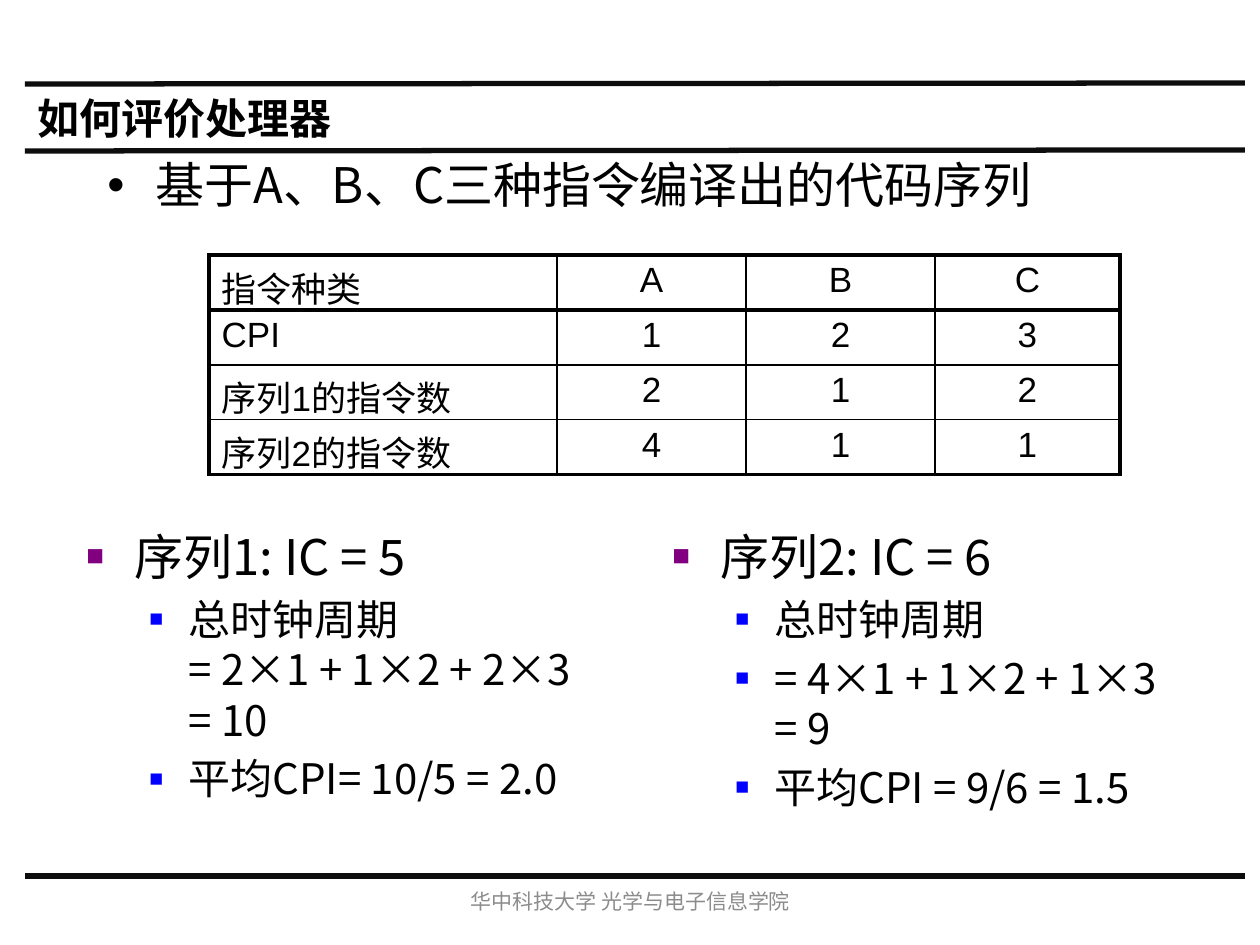
from lxml import etree
from pptx import Presentation
from pptx.dml.color import RGBColor
from pptx.enum.shapes import MSO_CONNECTOR
from pptx.enum.text import MSO_ANCHOR, PP_ALIGN
from pptx.oxml.ns import qn
from pptx.util import Emu, Pt

STRAIGHT = MSO_CONNECTOR.STRAIGHT
TOP, MIDDLE = MSO_ANCHOR.TOP, MSO_ANCHOR.MIDDLE
LEFT, CENTER = PP_ALIGN.LEFT, PP_ALIGN.CENTER

BLACK = RGBColor(0x00, 0x00, 0x00)
RULE = RGBColor(0x0D, 0x0D, 0x0D)
GRAY = RGBColor(0x8C, 0x8C, 0x8C)
PURPLE = RGBColor(0x80, 0x00, 0x80)
BLUE = RGBColor(0x00, 0x00, 0xFF)

SANS = "Noto Sans CJK SC"
THIN, THICK = 1, 2.25

TOPIC = {"size": 28, "margin": 48, "indent": -48, "char": "•"}
HEADING = {"size": 28, "margin": 48, "indent": -48, "char": "■",
           "color": PURPLE, "percent": 60}
DETAIL = {"size": 24, "margin": 102, "indent": -39, "char": "■",
          "color": BLUE, "percent": 55, "level": 1}

TABLE_ROWS = [
    ["指令种类", "A", "B", "C"],
    ["CPI", "1", "2", "3"],
    ["序列1的指令数", "2", "1", "2"],
    ["序列2的指令数", "4", "1", "1"],
]
COLUMN_WIDTHS = [348, 189, 189, 185]
ROW_HEIGHTS = [55, 55, 54, 55]

SEQUENCES = [
    (74, "序列1: IC = 5",
     ["总时钟周期\n= 2×1 + 1×2 + 2×3\n= 10", "平均CPI= 10/5 = 2.0"]),
    (660, "序列2: IC = 6",
     ["总时钟周期", "= 4×1 + 1×2 + 1×3\n= 9", "平均CPI = 9/6 = 1.5"]),
]


def px(length):
    return Emu(round(length * 914400 / 126))


def add_child(parent, tag, **attributes):
    values = {name: str(value) for name, value in attributes.items()}
    return etree.SubElement(parent, qn(tag), values)


def write_text(para, text, color=BLACK, font=SANS, **formats):
    para.text = text
    for span in para.runs:
        for name, value in {"name": font, **formats}.items():
            setattr(span.font, name, value)
        span.font.color.rgb = color
        if font == SANS:
            add_child(span.font._element, "a:ea", typeface=font)


def set_space_before(para):
    spacing = add_child(para._p.get_or_add_pPr(), "a:spcBef")
    add_child(spacing, "a:spcPct", val=20000)


def set_bullet(para, style):
    para.level = style.get("level", 0)
    properties = para._p.get_or_add_pPr()
    properties.set("marL", str(px(style["margin"])))
    properties.set("indent", str(px(style["indent"])))
    set_space_before(para)
    if "color" in style:
        color = add_child(properties, "a:buClr")
        add_child(color, "a:srgbClr", val=style["color"])
        add_child(properties, "a:buSzPct", val=style["percent"] * 1000)
    add_child(properties, "a:buFont", typeface="Arial")
    add_child(properties, "a:buChar", char=style["char"])


def add_rule(page, start_y, end_y):
    rule = page.shapes.add_connector(STRAIGHT, px(25), px(start_y), px(1245), px(end_y))
    rule.line.color.rgb = RULE
    rule.line.width = Pt(3)
    add_child(rule._element.spPr, "a:effectLst")


def add_box(page, left, top, width, height, anchor=TOP):
    box = page.shapes.add_textbox(px(left), px(top), px(width), px(height))
    box.text_frame.word_wrap = True
    box.text_frame.vertical_anchor = anchor
    return box.text_frame


def add_label(page, bounds, text, align=LEFT, **formats):
    para = add_box(page, *bounds, anchor=MIDDLE).paragraphs[0]
    para.alignment = align
    write_text(para, text, **formats)


def add_bullets(page, bounds, items, line_spacing=None):
    frame = add_box(page, *bounds)
    for index, (text, style) in enumerate(items):
        para = frame.add_paragraph() if index else frame.paragraphs[0]
        para.line_spacing = line_spacing
        set_bullet(para, style)
        write_text(para, text, size=Pt(style["size"]))


def set_borders(cell, widths):
    properties = cell._tc.get_or_add_tcPr()
    for tag, width in widths.items():
        border = add_child(properties, tag, w=Pt(width))
        fill = add_child(border, "a:solidFill")
        add_child(fill, "a:srgbClr", val=BLACK)


def add_grid(page, left, top):
    frame = page.shapes.add_table(
        len(ROW_HEIGHTS), len(COLUMN_WIDTHS), px(left), px(top),
        px(sum(COLUMN_WIDTHS)), px(sum(ROW_HEIGHTS)))
    table = frame.table
    table.first_row = table.horz_banding = False
    for column, width in zip(table.columns, COLUMN_WIDTHS):
        column.width = px(width)
    for row, height in zip(table.rows, ROW_HEIGHTS):
        row.height = px(height)
    last_row, last_column = len(ROW_HEIGHTS) - 1, len(COLUMN_WIDTHS) - 1
    for r, texts in enumerate(TABLE_ROWS):
        for c, text in enumerate(texts):
            cell = table.cell(r, c)
            para = cell.text_frame.paragraphs[0]
            para.alignment = CENTER if c else LEFT
            set_space_before(para)
            write_text(para, text, font="Arial", size=Pt(20))
            set_borders(cell, {
                "a:lnL": THIN if c else THICK,
                "a:lnR": THICK if c == last_column else THIN,
                "a:lnT": THICK if r < 2 else THIN,
                "a:lnB": THICK if r in (0, last_row) else THIN,
            })
            cell.fill.background()


def main():
    deck = Presentation()
    deck.slide_width, deck.slide_height = px(1260), px(945)
    page = deck.slides.add_slide(deck.slide_layouts[6])
    for start_y, end_y in [(151, 150), (84, 83), (876, 876)]:
        add_rule(page, start_y, end_y)
    add_label(page, (25, 86, 1221, 63), "如何评价处理器", size=Pt(24), bold=True)
    add_label(page, (431, 876, 399, 50), "华中科技大学 光学与电子信息学院",
              align=CENTER, size=Pt(12), color=GRAY)
    add_bullets(page, (95, 155, 1140, 137),
                [("基于A、B、C三种指令编译出的代码序列", TOPIC)], line_spacing=0.9)
    add_grid(page, 209, 255)
    for left, heading, details in SEQUENCES:
        items = [(heading, HEADING)] + [(text, DETAIL) for text in details]
        add_bullets(page, (left, 520, 536, 287), items)
    deck.save("out.pptx")


if __name__ == "__main__":
    main()
